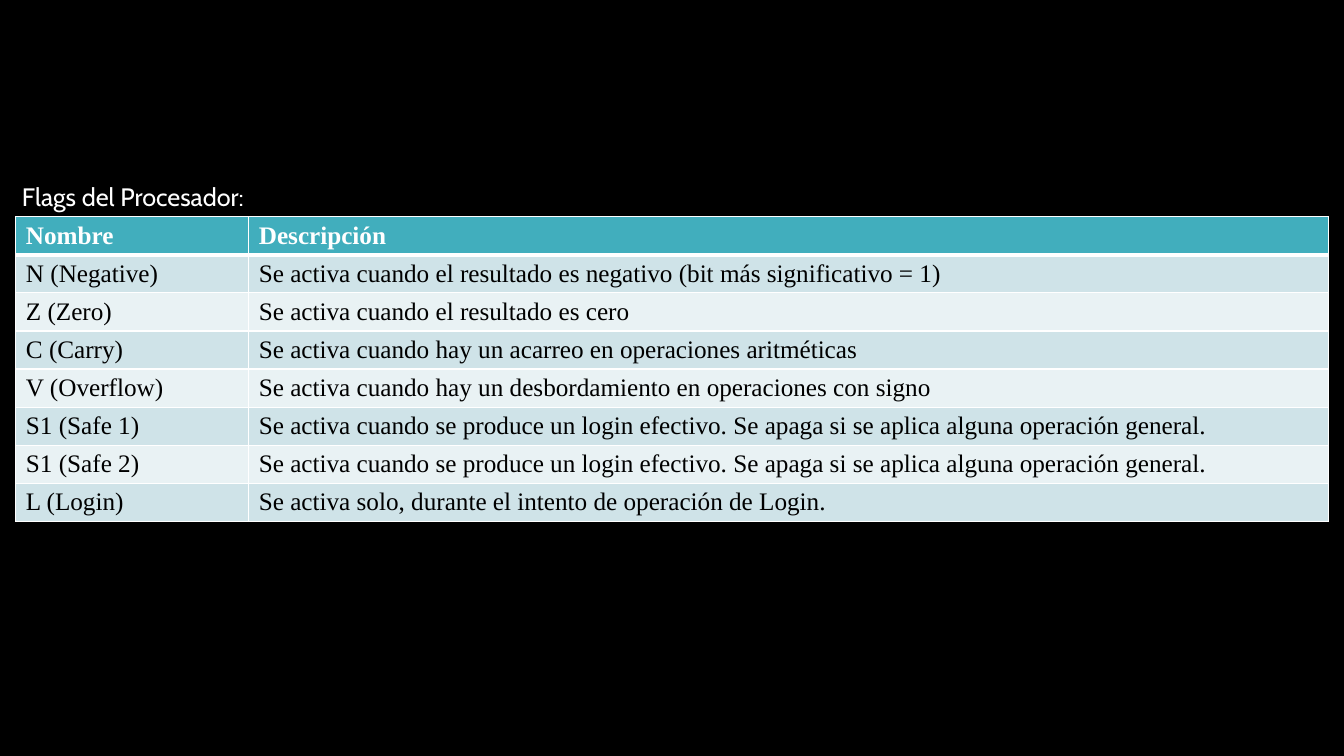
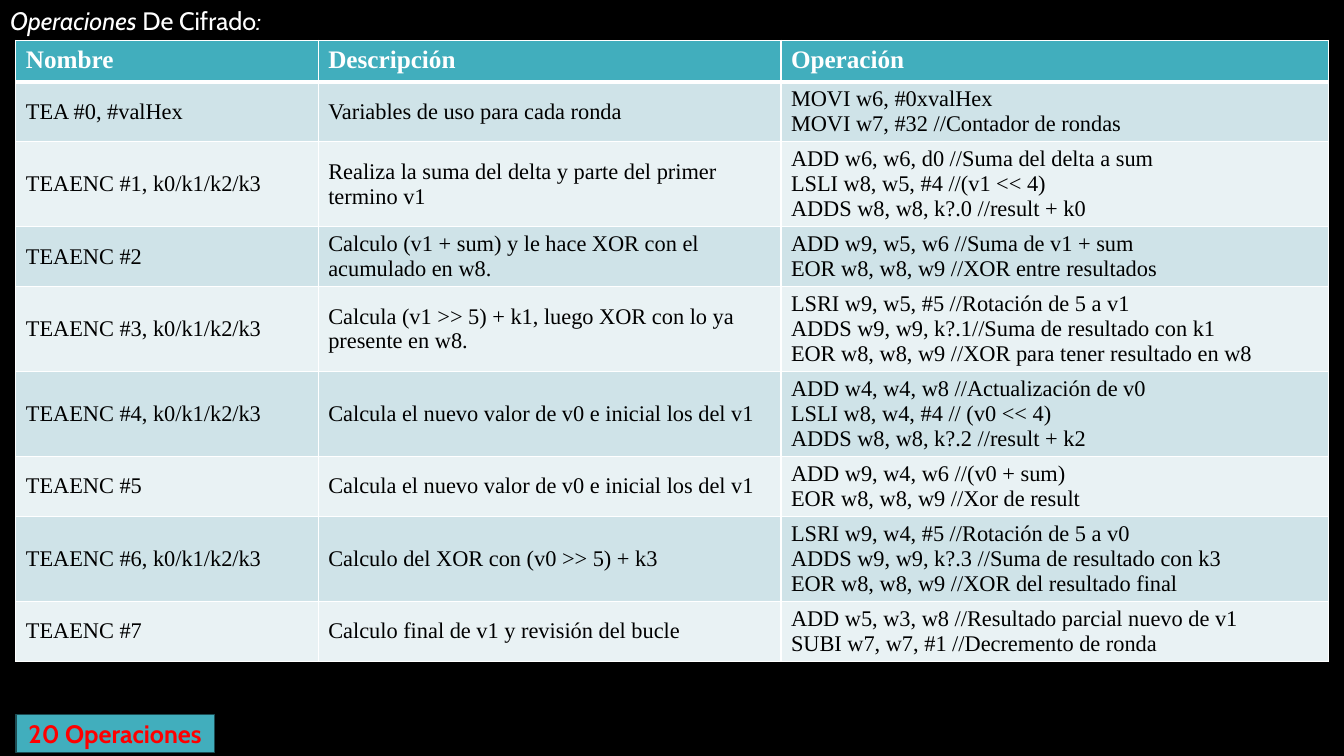
from dataclasses import dataclass

from lxml.etree import SubElement
from pptx import Presentation
from pptx.dml.color import RGBColor
from pptx.enum.shapes import MSO_SHAPE as Preset
from pptx.enum.text import MSO_ANCHOR as Anchor, MSO_AUTO_SIZE as AutoSize, PP_ALIGN as Align
from pptx.oxml.ns import qn
from pptx.util import Cm, Pt

# Shared style
BLACK, WHITE, RED = "000000", "FFFFFF", "FF0000"
TEAL, TEAL_EDGE = "41AEBD", "1C4C53"
BANDS = ("CFE3E8", "E9F2F4")
HEADING_FONT, TABLE_FONT = "Cabin", "Times New Roman"
MARGIN = 0.4
LINE_HEIGHT, CELL_PADDING = 0.63, 0.25
TITLE_HEIGHT = 1.02


@dataclass(frozen=True)
class TitlePart:
    text: str
    italic: bool = False


@dataclass(frozen=True)
class TableSlide:
    title: tuple[TitlePart, ...]
    title_left: float
    title_top: float
    title_width: float
    table_top: float
    columns: tuple[float, ...]
    header_height: float
    body_size: int
    min_row: float
    rows: tuple[tuple[str, ...], ...]
    badge: str = ""


SAFE_FLAG = "Se activa cuando se produce un login efectivo. Se apaga si se aplica alguna operación general."
NEW_V0 = "Calcula el nuevo valor de v0 e inicial los del v1"

FLAGS = TableSlide(
    title=(TitlePart("Flags del Procesador:"),),
    title_left=0.3, title_top=4.45, title_width=6.17,
    table_top=5.46, columns=(5.87, 27.2),
    header_height=0.96, body_size=18, min_row=0.96,
    rows=(
        ("Nombre", "Descripción"),
        ("N (Negative)", "Se activa cuando el resultado es negativo (bit más significativo = 1)"),
        ("Z (Zero)", "Se activa cuando el resultado es cero"),
        ("C (Carry)", "Se activa cuando hay un acarreo en operaciones aritméticas"),
        ("V (Overflow)", "Se activa cuando hay un desbordamiento en operaciones con signo"),
        ("S1 (Safe 1)", SAFE_FLAG),
        ("S1 (Safe 2)", SAFE_FLAG),
        ("L (Login)", "Se activa solo, durante el intento de operación de Login."),
    ),
)

CIPHER = TableSlide(
    title=(TitlePart("Operaciones", True), TitlePart(" De Cifrado"), TitlePart(":", True)),
    title_left=0, title_top=0, title_width=11.66,
    table_top=TITLE_HEIGHT, columns=(7.62, 11.66, 13.79),
    header_height=1.04, body_size=16, min_row=1.04,
    rows=(
        ("Nombre", "Descripción", "Operación"),
        ("TEA #0, #valHex", "Variables de uso para cada ronda",
         "MOVI w6, #0xvalHex\nMOVI w7, #32 //Contador de rondas"),
        ("TEAENC #1, k0/k1/k2/k3", "Realiza la suma del delta y parte del primer termino v1",
         "ADD w6, w6, d0 //Suma del delta a sum\nLSLI w8, w5, #4 //(v1 << 4)\n"
         "ADDS w8, w8, k?.0 //result + k0"),
        ("TEAENC #2", "Calculo (v1 + sum) y le hace XOR con el acumulado en w8.",
         "ADD w9, w5, w6 //Suma de v1 + sum\nEOR w8, w8, w9 //XOR entre resultados"),
        ("TEAENC #3, k0/k1/k2/k3", "Calcula (v1 >> 5) + k1, luego XOR con lo ya presente en w8.",
         "LSRI w9, w5, #5 //Rotación de 5 a v1\nADDS w9, w9, k?.1//Suma de resultado con k1\n"
         "EOR w8, w8, w9 //XOR para tener resultado en w8"),
        ("TEAENC #4, k0/k1/k2/k3", NEW_V0,
         "ADD w4, w4, w8 //Actualización de v0\nLSLI w8, w4, #4 // (v0 << 4)\n"
         "ADDS w8, w8, k?.2 //result + k2"),
        ("TEAENC #5", NEW_V0,
         "ADD w9, w4, w6 //(v0 + sum)\nEOR w8, w8, w9 //Xor de result"),
        ("TEAENC #6, k0/k1/k2/k3", "Calculo del XOR con (v0 >> 5) + k3",
         "LSRI w9, w4, #5 //Rotación de 5 a v0\nADDS w9, w9, k?.3 //Suma de resultado con k3\n"
         "EOR w8, w8, w9 //XOR del resultado final"),
        ("TEAENC #7", "Calculo final de v1 y revisión del bucle",
         "ADD w5, w3, w8 //Resultado parcial nuevo de v1\nSUBI w7, w7, #1 //Decremento de ronda"),
    ),
    badge="20 Operaciones",
)


def rgb(value: str) -> RGBColor:
    return RGBColor.from_string(value)


def paint(fill, color: str) -> None:
    fill.solid()
    fill.fore_color.rgb = rgb(color)


def format_runs(frame, size: int, font: str, color: str, bold: bool = False) -> None:
    for paragraph in frame.paragraphs:
        for run in paragraph.runs:
            run.font.size, run.font.name, run.font.bold = Pt(size), font, bold
            run.font.color.rgb = rgb(color)


def add_borders(cell, top: float, bottom: float) -> None:
    """Draw white cell edges; they must come before the fill in the XML."""
    properties = cell._tc.get_or_add_tcPr()
    edges = (("L", 1), ("R", 1), ("T", top), ("B", bottom))
    for position, (side, width) in enumerate(edges):
        edge = SubElement(properties, qn(f"a:ln{side}"), w=str(Pt(width)))
        SubElement(SubElement(edge, qn("a:solidFill")), qn("a:srgbClr"), val=WHITE)
        properties.insert(position, edge)


def add_title(slide, content: TableSlide) -> None:
    title = slide.shapes.title
    title.left, title.top = Cm(content.title_left), Cm(content.title_top)
    title.width, title.height = Cm(content.title_width), Cm(TITLE_HEIGHT)
    frame = title.text_frame
    frame.auto_size, frame.vertical_anchor = AutoSize.NONE, Anchor.TOP
    paragraph = frame.paragraphs[0]
    paragraph.alignment = Align.LEFT
    for part in content.title:
        run = paragraph.add_run()
        run.text = part.text
        run.font.italic = part.italic
    format_runs(frame, 18, HEADING_FONT, WHITE)


def row_height(content: TableSlide, row: tuple[str, ...]) -> float:
    lines = max(text.count("\n") + 1 for text in row)
    return max(content.min_row, lines * LINE_HEIGHT + CELL_PADDING)


def add_data_table(slide, content: TableSlide) -> None:
    heights = [content.header_height] + [row_height(content, row) for row in content.rows[1:]]
    table = slide.shapes.add_table(
        len(content.rows), len(content.columns), Cm(MARGIN), Cm(content.table_top),
        Cm(sum(content.columns)), Cm(sum(heights))).table
    for column, width in zip(table.columns, content.columns):
        column.width = Cm(width)
    for index, (row, height) in enumerate(zip(content.rows, heights)):
        table.rows[index].height = Cm(height)
        header = index == 0
        for cell, text in zip(table.rows[index].cells, row):
            cell.text_frame.text = text
            cell.vertical_anchor = Anchor.TOP if header else Anchor.MIDDLE
            format_runs(cell.text_frame, 18 if header else content.body_size,
                        TABLE_FONT, WHITE if header else BLACK, header)
            paint(cell.fill, TEAL if header else BANDS[(index - 1) % 2])
            # The heavy rule under the header belongs to both adjoining rows
            add_borders(cell, top=3 if index == 1 else 1, bottom=3 if header else 1)


def add_badge(slide, text: str) -> None:
    badge = slide.shapes.add_shape(Preset.RECTANGLE, Cm(MARGIN), Cm(18), Cm(5), Cm(0.97))
    badge.shadow.inherit = False
    paint(badge.fill, TEAL)
    badge.line.color.rgb = rgb(TEAL_EDGE)
    badge.line.width = Pt(1)
    frame = badge.text_frame
    frame.text = text
    frame.vertical_anchor = Anchor.MIDDLE
    frame.paragraphs[0].alignment = Align.CENTER
    format_runs(frame, 18, HEADING_FONT, RED, True)


def main() -> None:
    deck = Presentation()
    deck.slide_width, deck.slide_height = Cm(33.87), Cm(19.05)
    paint(deck.slide_master.background.fill, BLACK)
    for content in (FLAGS, CIPHER):
        slide = deck.slides.add_slide(deck.slide_layouts[5])
        add_title(slide, content)
        add_data_table(slide, content)
        if content.badge:
            add_badge(slide, content.badge)
    deck.save("out.pptx")


if __name__ == "__main__":
    main()
